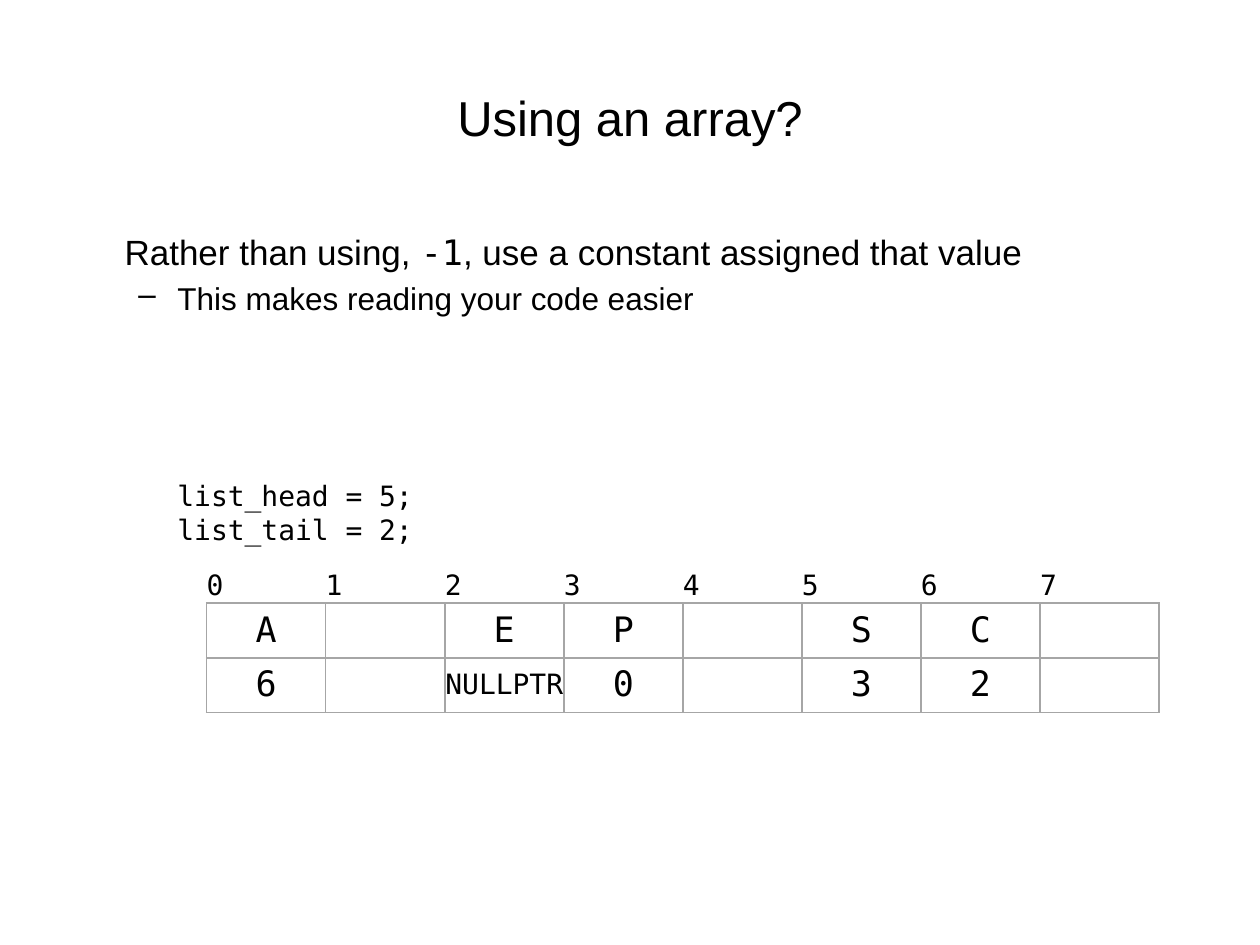
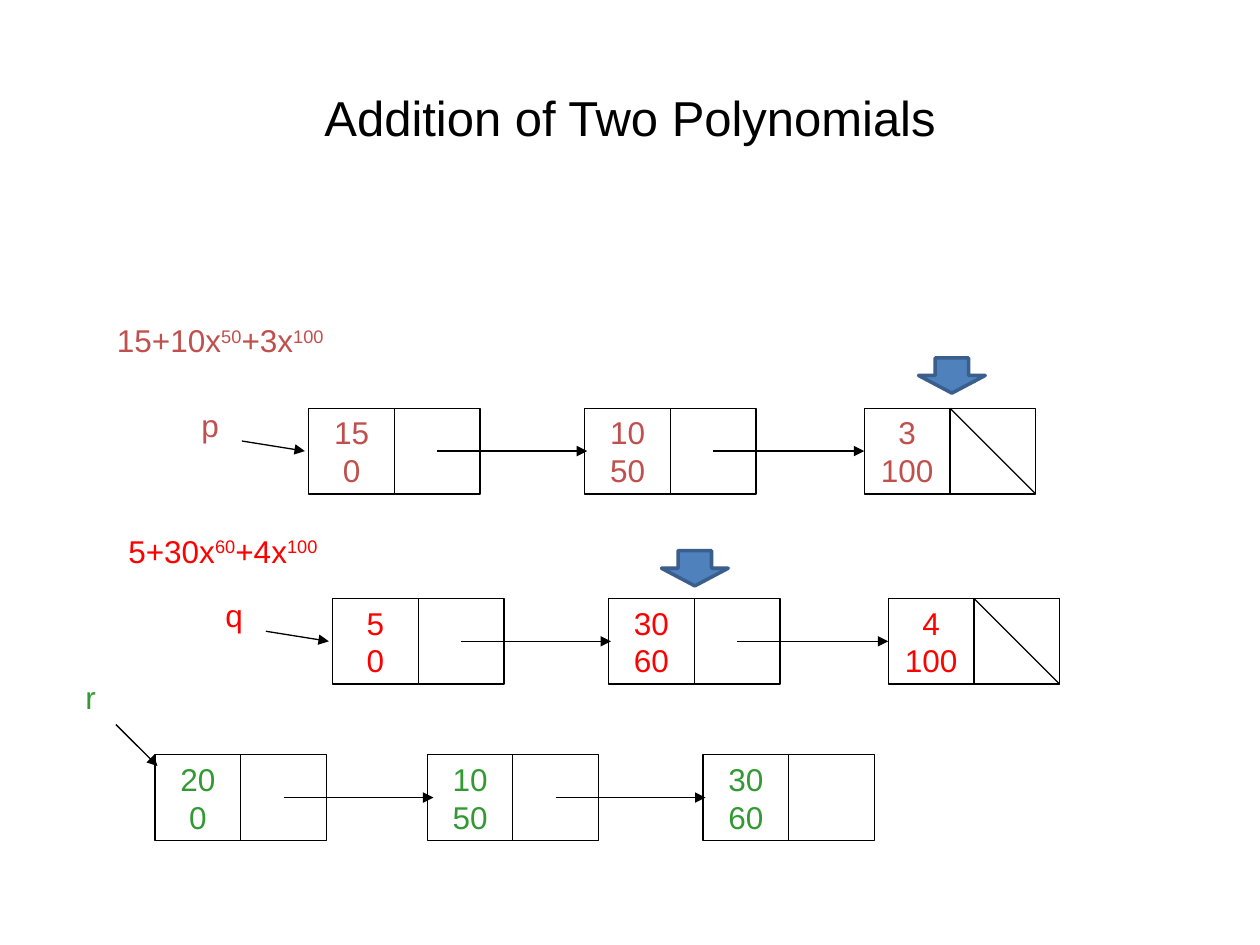
from lxml.etree import SubElement
from pptx import Presentation
from pptx.dml.color import RGBColor
from pptx.enum.shapes import MSO_CONNECTOR, MSO_SHAPE
from pptx.enum.text import MSO_ANCHOR, PP_ALIGN
from pptx.oxml.ns import qn
from pptx.util import Inches, Pt

SANS = "Arial"
MONO = "DejaVu Sans Mono"
BLACK = "000000"
GRID_GRAY = "A6A6A6"
ARROW_BLUE = "4F81BD"
ARROW_EDGE = "3A5F8C"
CELL_SIDE = 0.68
LINK_LENGTH = 1.19
LEFT_SIDE = 1

ARRAY_LABELS = "01234567"
ARRAY_VALUES = ["A", "", "E", "P", "", "S", "C", ""]
ARRAY_NEXT = ["6", "", "NULLPTR", "0", "", "3", "2", ""]

# Each list: name and its place, colour, pointer ends, top, nodes, ends in null
POLYNOMIAL_LISTS = [
    ("p", (1.5, 3.17), "C0504D", (1.92, 3.5, 2.42, 3.58), 3.24,
     [(2.45, "15", "0"), (4.64, "10", "50"), (6.86, "3", "100")], True),
    ("q", (1.69, 4.68), "FF0000", (2.11, 5.01, 2.61, 5.09), 4.75,
     [(2.64, "5", "0"), (4.83, "30", "60"), (7.05, "4", "100")], True),
    ("r", (0.58, 5.33), "339933", (0.92, 5.75, 1.25, 6.08), 5.99,
     [(1.23, "20", "0"), (3.39, "10", "50"), (5.58, "30", "60")], False),
]


def rgb(color):
    return RGBColor.from_string(color)


def style_font(font, size, color=BLACK, name=SANS):
    font.size = Pt(size)
    font.name = name
    font.color.rgb = rgb(color)


def write_lines(frame, lines, size, color=BLACK, name=SANS, align=PP_ALIGN.LEFT):
    """Write one paragraph per line, all in the same font."""
    for index, line in enumerate(lines):
        para = frame.add_paragraph() if index else frame.paragraphs[0]
        para.alignment = align
        style_font(para.font, size, color, name)
        if line:
            para.add_run().text = line


def add_text_box(page, left, top, width, height, wrap=True):
    box = page.shapes.add_textbox(
        Inches(left), Inches(top), Inches(width), Inches(height))
    box.text_frame.word_wrap = wrap
    return box.text_frame


def add_titled_page(deck, title):
    page = deck.slides.add_slide(deck.slide_layouts[6])
    frame = add_text_box(page, 0.5, 0.3, 9, 1.25)
    frame.vertical_anchor = MSO_ANCHOR.MIDDLE
    write_lines(frame, [title], 28, align=PP_ALIGN.CENTER)
    return page


def add_preset(page, preset, left, top, width, height, line, line_width, fill=None):
    shape = page.shapes.add_shape(
        preset, Inches(left), Inches(top), Inches(width), Inches(height))
    shape.shadow.inherit = False
    shape.line.color.rgb = rgb(line)
    shape.line.width = Pt(line_width)
    if fill:
        shape.fill.solid()
        shape.fill.fore_color.rgb = rgb(fill)
    else:
        shape.fill.background()
    return shape


def add_line(page, x1, y1, x2, y2, arrow=True):
    line = page.shapes.add_connector(
        MSO_CONNECTOR.STRAIGHT, Inches(x1), Inches(y1), Inches(x2), Inches(y2))
    line.line.color.rgb = rgb(BLACK)
    line.line.width = Pt(0.75)
    if arrow:
        SubElement(line.line._get_or_add_ln(), qn("a:tailEnd"), type="triangle")
    SubElement(line._element.spPr, qn("a:effectLst"))
    return line


def add_cell_border(cell, side, color):
    """Draw one side (L, R, T or B) of a cell, or hide it if color is None."""
    border = SubElement(
        cell._tc.get_or_add_tcPr(), qn(f"a:ln{side}"), w=str(Pt(1)))
    if color:
        fill = SubElement(border, qn("a:solidFill"))
        SubElement(fill, qn("a:srgbClr"), val=color)
    else:
        SubElement(border, qn("a:noFill"))


def remove_margins(cell):
    cell.margin_left = cell.margin_right = 0
    cell.margin_top = cell.margin_bottom = 0


def fill_array_cell(cell, text, is_label):
    tight = is_label or text == "NULLPTR"
    if tight:
        remove_margins(cell)
        cell.vertical_anchor = MSO_ANCHOR.TOP if is_label else MSO_ANCHOR.MIDDLE
    align = PP_ALIGN.LEFT if is_label else PP_ALIGN.CENTER
    write_lines(cell.text_frame, [text], 16 if tight else 20, name=MONO, align=align)
    for side in "LRTB":
        visible = side == "B" or not is_label
        add_cell_border(cell, side, GRID_GRAY if visible else None)
    cell.fill.background()


def add_array_table(page):
    rows = [ARRAY_LABELS, ARRAY_VALUES, ARRAY_NEXT]
    heights = [0.26, 0.43, 0.43]
    table = page.shapes.add_table(
        len(rows), len(ARRAY_LABELS), Inches(1.64), Inches(4.52),
        Inches(7.56), Inches(sum(heights))).table
    table.first_row = table.horz_banding = False
    for row_index, (texts, height) in enumerate(zip(rows, heights)):
        table.rows[row_index].height = Inches(height)
        for column_index, text in enumerate(texts):
            fill_array_cell(table.cell(row_index, column_index), text, row_index == 0)


def indent_paragraph(para, left, first=0, bullet=None):
    properties = para._p.get_or_add_pPr()
    properties.set("marL", str(Inches(left)))
    properties.set("indent", str(Inches(first)))
    if bullet:
        SubElement(properties, qn("a:buChar"), char=bullet)


def add_array_advice(page):
    frame = add_text_box(page, 0.5, 1.78, 9, 4.92)
    advice = frame.paragraphs[0]
    indent_paragraph(advice, 0.39)
    for text, name in [("Rather than using, ", SANS), ("-1", MONO),
                       (", use a constant assigned that value", SANS)]:
        span = advice.add_run()
        span.text = text
        style_font(span.font, 20, name=name)
    reason = frame.add_paragraph()
    reason.level = 1
    reason.space_before = Pt(4)
    indent_paragraph(reason, 0.81, -0.31, "–")
    style_font(reason.font, 18)
    reason.add_run().text = "This makes reading your code easier"


def add_polynomial(page, left, top, color, parts):
    """Write parts that are in turn on the line and raised as exponents."""
    para = add_text_box(page, left, top, 2.92, 0.4).paragraphs[0]
    style_font(para.font, 18, color)
    for index, part in enumerate(parts):
        span = para.add_run()
        span.text = part
        if index % 2:
            span._r.get_or_add_rPr().set("baseline", "30000")


def add_node(page, left, top, numbers, color):
    """Add a coefficient and exponent cell with a link cell at its right."""
    cells = [
        add_preset(page, MSO_SHAPE.RECTANGLE, left + column * CELL_SIDE, top,
                   CELL_SIDE, CELL_SIDE, BLACK, 0.75)
        for column in range(2)]
    frame = cells[0].text_frame
    frame.word_wrap = False
    frame.vertical_anchor = MSO_ANCHOR.MIDDLE
    write_lines(frame, numbers, 18, color, align=PP_ALIGN.CENTER)
    return cells[0]


def add_linked_list(page, name, name_place, color, pointer, top, nodes, ends_in_null):
    frame = add_text_box(page, *name_place, 0.37, 0.5, wrap=False)
    write_lines(frame, [name], 18, color)
    add_line(page, *pointer)
    data_cells = [add_node(page, left, top, numbers, color)
                  for left, *numbers in nodes]
    middle = top + CELL_SIDE / 2
    for (left, *_), (next_left, *_), next_cell in zip(nodes, nodes[1:], data_cells[1:]):
        start = left + 1.5 * CELL_SIDE
        end = start + LINK_LENGTH
        link = add_line(page, start, middle, end, middle)
        if abs(end - next_left) < 0.015:
            link.end_connect(next_cell, LEFT_SIDE)
    if ends_in_null:
        left = nodes[-1][0] + CELL_SIDE
        add_line(page, left, top, left + CELL_SIDE, top + CELL_SIDE, arrow=False)


def build_array_page(deck):
    page = add_titled_page(deck, "Using an array?")
    add_array_advice(page)
    add_array_table(page)
    code = add_text_box(page, 1.31, 3.75, 2.39, 0.64)
    write_lines(code, ["list_head = 5;", "list_tail = 2;"], 16, name=MONO)


def build_polynomial_page(deck):
    page = add_titled_page(deck, "Addition of Two Polynomials")
    add_polynomial(page, 0.83, 2.5, "C0504D", ["15+10x", "50", "+3x", "100"])
    add_polynomial(page, 0.92, 4.17, "FF0000", ["5+30x", "60", "+4x", "100"])
    for polynomial_list in POLYNOMIAL_LISTS:
        add_linked_list(page, *polynomial_list)
    for left, top in [(7.29, 2.84), (5.25, 4.37)]:
        add_preset(page, MSO_SHAPE.DOWN_ARROW, left, top, 0.53, 0.28,
                   ARROW_EDGE, 2, ARROW_BLUE)


def main():
    deck = Presentation()
    deck.slide_width = Inches(10)
    deck.slide_height = Inches(7.5)
    build_array_page(deck)
    build_polynomial_page(deck)
    deck.save("out.pptx")


if __name__ == "__main__":
    main()
